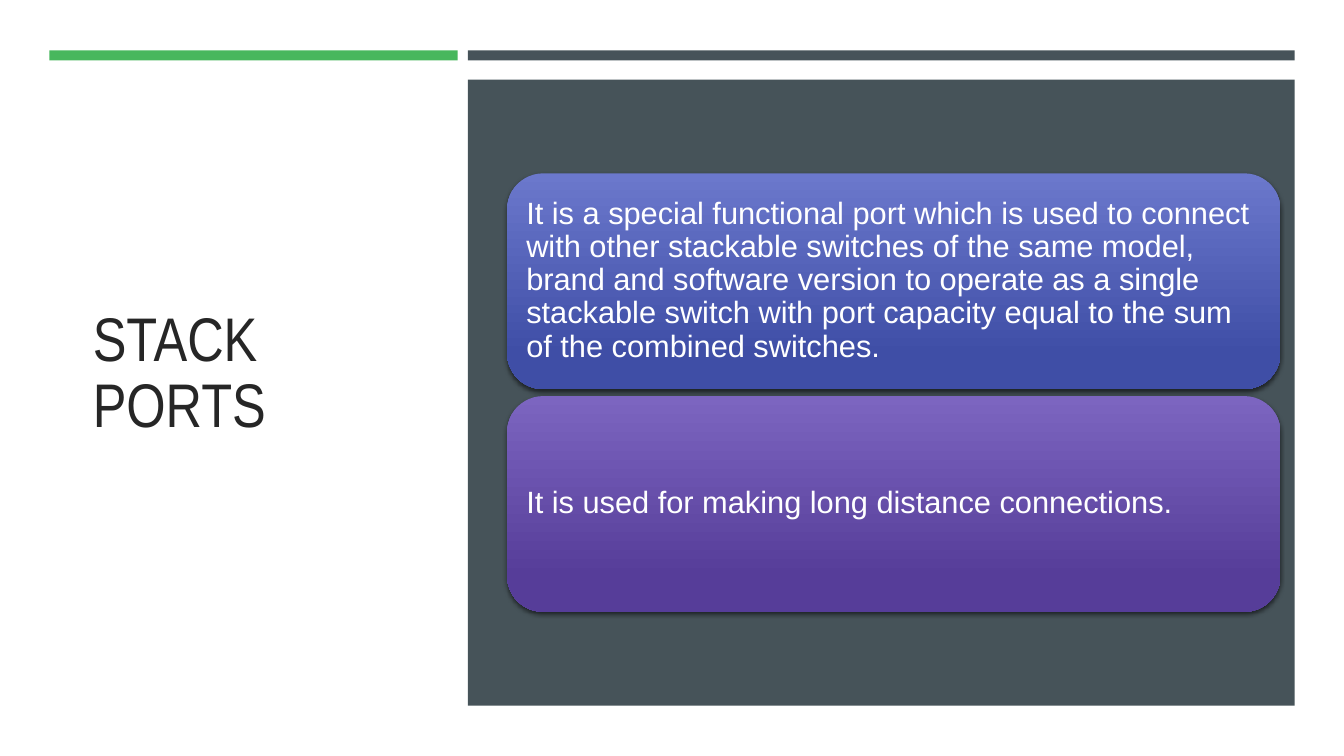
"""Build the Stack Ports slide with two gradient cards."""
from lxml import etree
from pptx import Presentation
from pptx import util as u
from pptx.dml.color import RGBColor
from pptx.enum import shapes, text
from pptx.oxml.ns import qn

PX = 9144
WHITE = RGBColor(0xFF, 0xFF, 0xFF)
INK = RGBColor(0x26, 0x26, 0x26)
GREEN = RGBColor(0x48, 0xB7, 0x5D)
SLATE = RGBColor(0x46, 0x53, 0x59)
BLUES = (RGBColor(0x6B, 0x78, 0xCC), RGBColor(0x3F, 0x4E, 0xA6))
PURPLES = (RGBColor(0x7C, 0x65, 0xC0), RGBColor(0x56, 0x3D, 0x99))

CARDS = [
    ("It is a special functional port which is used to connect with other "
     "stackable switches of the same model, brand and software version to "
     "operate as a single stackable switch with port capacity equal to the "
     "sum of the combined switches.", BLUES),
    ("It is used for making long distance connections.", PURPLES),
]
CARD_TOP, CARD_STEP = 172, 221


class Deck:
    title_font = {"name": "Arial Narrow", "size": u.Pt(44)}
    card_font = {"name": "Arial", "size": u.Pt(22)}
    frame = {"word_wrap": True, "auto_size": text.MSO_AUTO_SIZE.NONE,
             "vertical_anchor": text.MSO_ANCHOR.MIDDLE}
    insets = dict.fromkeys(
        ("margin_left", "margin_top", "margin_right", "margin_bottom"), 9 * PX)
    paragraph = {"alignment": text.PP_ALIGN.LEFT, "line_spacing": 0.9}

    def __init__(self):
        self.prs = Presentation()
        self.prs.slide_width, self.prs.slide_height = 1333 * PX, 750 * PX
        self.s = self.prs.slides.add_slide(self.prs.slide_layouts[5])
        self.shapes = self.s.shapes

    def apply(self, target, values):
        for name, value in values.items():
            setattr(target, name, value)

    def put_text(self, tf, words, font, color):
        self.apply(tf, self.frame)
        p = tf.paragraphs[0]
        self.apply(p, self.paragraph)
        r = p.add_run()
        r.text = words
        self.apply(r.font, font)
        r.font.color.rgb = color

    def title(self, words, *box):
        sp = self.s.shapes.title
        self.apply(sp, dict(zip(("left", "top", "width", "height"),
                                (n * PX for n in box))))
        self.put_text(sp.text_frame, words, self.title_font, INK)
        self.shapes._spTree.append(sp._element)

    def shape(self, kind, *box):
        sp = self.shapes.add_shape(kind, *(n * PX for n in box))
        sp.shadow.inherit = False
        sp.line.fill.background()
        return sp

    def rect(self, color, *box):
        sp = self.shape(shapes.MSO_SHAPE.RECTANGLE, *box)
        sp.fill.solid()
        sp.fill.fore_color.rgb = color

    def shadow(self, sp):
        effects = sp._element.spPr.find(qn("a:effectLst"))
        outer = etree.SubElement(
            effects, qn("a:outerShdw"), blurRad=str(u.Pt(3)),
            dist=str(u.Pt(2)), dir="5400000", algn="ctr", rotWithShape="0")
        color = etree.SubElement(outer, qn("a:srgbClr"), val="000000")
        etree.SubElement(color, qn("a:alpha"), val="55000")

    def card(self, words, colors, x, y, w, h):
        sp = self.shape(shapes.MSO_SHAPE.ROUNDED_RECTANGLE, x, y, w, h)
        sp.fill.gradient()
        sp.fill.gradient_angle = 270
        for stop, color, position in zip(sp.fill.gradient_stops, colors, (0, 0.84)):
            stop.color.rgb = color
            stop.position = position
        self.shadow(sp)
        box = (x + 10, y + 10, w - 21, h - 21)
        tf = self.shapes.add_textbox(*(n * PX for n in box)).text_frame
        self.apply(tf, self.insets)
        self.put_text(tf, words, self.card_font, WHITE)

    def group(self):
        self.shapes = self.s.shapes.add_group_shape().shapes


def main():
    deck = Deck()
    deck.rect(WHITE, 0, 0, 1333, 750)
    deck.title("STACK PORTS", 82, 114, 334, 515)
    deck.rect(GREEN, 49, 50, 405, 10)
    deck.rect(SLATE, 464, 50, 820, 10)
    deck.rect(SLATE, 464, 79, 820, 621)
    deck.group()
    for i, (words, colors) in enumerate(CARDS):
        deck.card(words, colors, 503, CARD_TOP + i * CARD_STEP, 767, 214)
    deck.prs.save("out.pptx")


if __name__ == "__main__":
    main()
